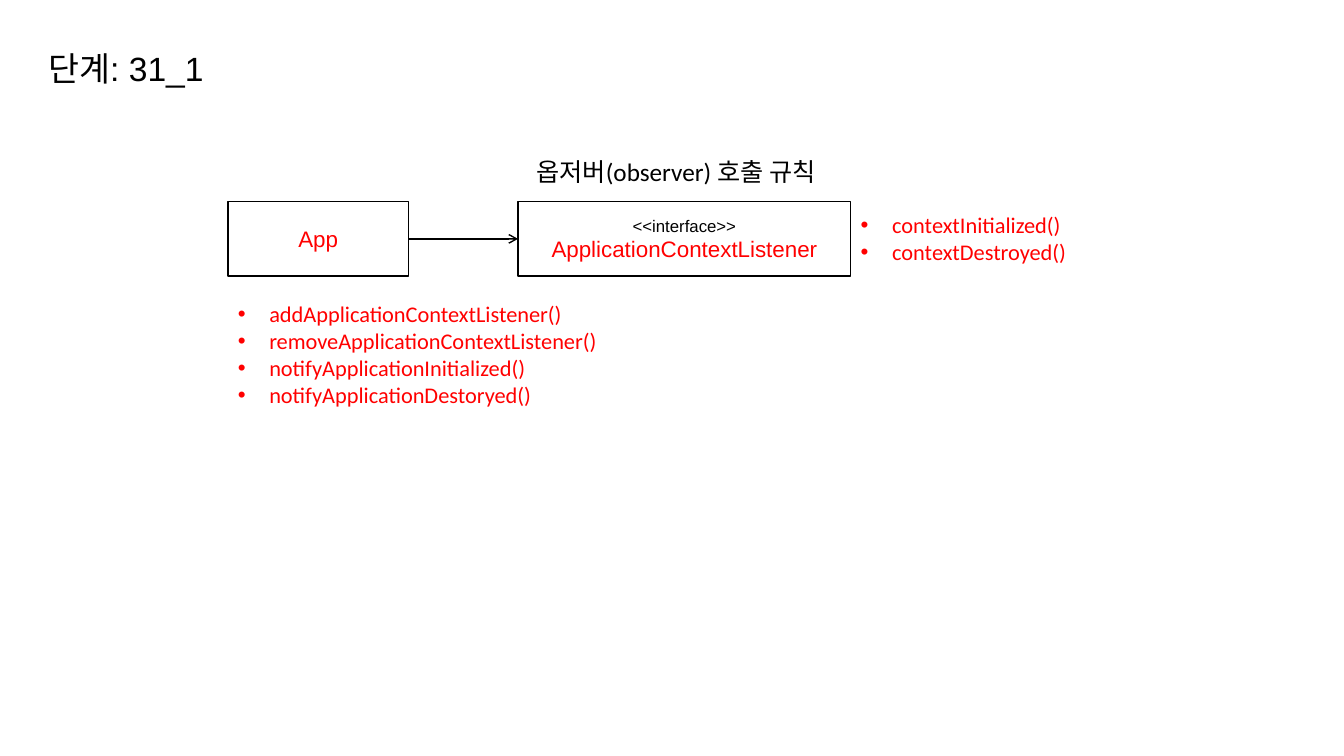
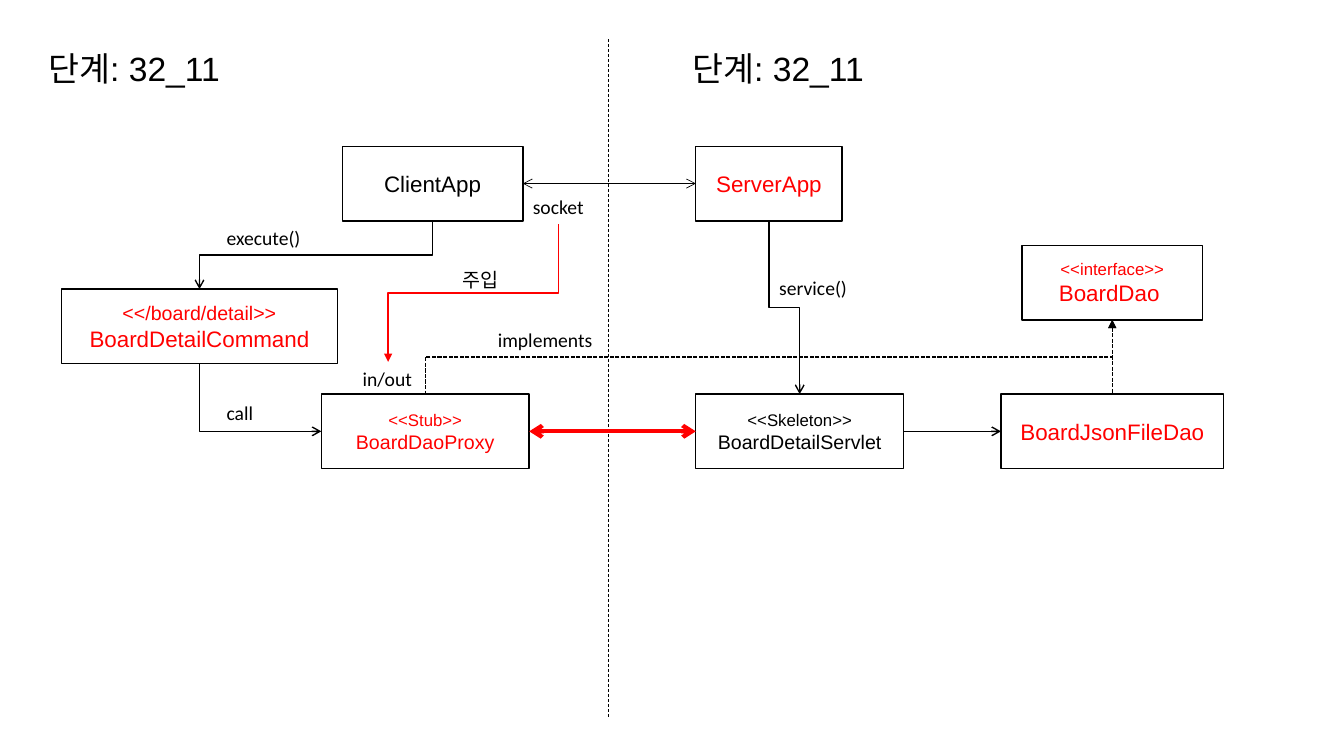
from lxml.etree import SubElement as Sub
from pptx import Presentation
from pptx.dml.color import RGBColor as Rgb
from pptx.enum.dml import MSO_LINE as Dash
from pptx.enum.shapes import MSO_CONNECTOR as Conn, MSO_SHAPE as Shape
from pptx.enum.text import MSO_ANCHOR as Anchor, MSO_AUTO_SIZE as Fit, PP_ALIGN as Align
from pptx.oxml.ns import qn
from pptx.util import Pt

INK = {"black": "000000", "red": "FF0000", "white": "FFFFFF"}
TOP, LEFT, BOTTOM, RIGHT = range(4)
BOX_H = 53.25
TITLE_Y = 31
BULLET = 22.5

# Text styles: font, size
TITLE = {"name": "Arial", "size": 24}
HEAD = {"name": "Calibri", "size": 18}
LIST = {"name": "Calibri", "size": 16}
NOTE = {"name": "Calibri", "size": 14}

# Line styles
THIN = {"width": 0.5, "head": "arrow", "tail": "arrow"}
FLOW = {"width": 1, "tail": "arrow"}
REAL = {"width": 1, "head": "triangle", "dash": Dash.SQUARE_DOT}
INJECT = {"width": 1, "color": "red", "tail": "triangle"}
WIRE = {"width": 3, "color": "red", "head": "arrow", "tail": "arrow"}
SPLIT = {"width": 0.5, "dash": Dash.DASH}

# titles: text, x, width
# boxes: key -> x, y, width, lines of (text, size, colour), fill
# notes: text, x, y, width, height, style
# lists: items, x, y, width, height, wrap
# links: from, side, to, side, style
SLIDES = [
    {
        "titles": [("단계: 31_1", 27.5, 135.5)],
        "boxes": {
            "app": (162.75, 144, 129, [("App", 16, "red")], None),
            "listen": (370, 144, 237.75, [("<<interface>>", 12, "black"),
                       ("ApplicationContextListener", 16, "red")], None),
        },
        "notes": [("옵저버(observer) 호출 규칙", 376, 108, 226, 29, HEAD)],
        "lists": [
            (["contextInitialized()", "contextDestroyed()"],
             607.75, 147.5, 163.5, 46, False),
            (["addApplicationContextListener()",
              "removeApplicationContextListener()",
              "notifyApplicationInitialized()",
              "notifyApplicationDestoryed()"], 162.75, 211, 281.5, 85, True),
        ],
        "links": [("app", RIGHT, "listen", LEFT, FLOW)],
        "split": None,
    },
    {
        "titles": [("단계: 32_11", 27.5, 147.5), ("단계: 32_11", 487.5, 147.5)],
        "boxes": {
            "client": (244.5, 104.5, 129, [("ClientApp", 16, "black")], None),
            "server": (497, 104.5, 104.5, [("ServerApp", 16, "red")], None),
            "skel": (497, 281.5, 148.5, [("<<Skeleton>>", 12, "black"),
                     ("BoardDetailServlet", 14, "black")], None),
            "stub": (229.5, 281.5, 148.5, [("<<Stub>>", 12, "red"),
                     ("BoardDaoProxy", 14, "red")], None),
            "json": (715, 281.5, 159, [("BoardJsonFileDao", 16, "red")], None),
            "dao": (730, 175.25, 129, [("<<interface>>", 12, "red"),
                    ("BoardDao ", 16, "red")], None),
            "detail": (43.75, 206.5, 197.5, [("<</board/detail>>", 14, "red"),
                       ("BoardDetailCommand", 16, "red")], "white"),
        },
        "notes": [
            ("socket", 373.5, 136, 51, 24.25, NOTE),
            ("in/out", 252, 258.5, 50.5, 24.25, NOTE),
            ("implements", 348.5, 230.5, 83, 24.25, NOTE),
            ("주입", 323.25, 188, 42.5, 24.25, NOTE),
            ("execute()", 154.75, 157.75, 67.5, 24.25, NOTE),
            ("call", 154.75, 282.5, 34, 24.25, NOTE),
            ("service()", 549.5, 193.5, 63.5, 24.25, NOTE),
        ],
        "lists": [],
        "links": [
            ("client", RIGHT, "server", LEFT, THIN),
            ("dao", BOTTOM, "json", TOP, REAL),
            ("dao", BOTTOM, "stub", TOP, REAL),
            ("skel", RIGHT, "json", LEFT, FLOW),
            ("stub", RIGHT, "skel", LEFT, WIRE),
            ("client", BOTTOM, "detail", TOP, FLOW),
            ("detail", BOTTOM, "stub", LEFT, FLOW),
            ("socket", BOTTOM, "in/out", TOP, INJECT),
            ("server", BOTTOM, "skel", TOP, FLOW),
        ],
        "split": (434.25, 28, 512),
    },
]


def ink(name):
    return Rgb.from_string(INK[name])


def write(par, text, color="black", **style):
    run = par.add_run()
    run.text = text
    run.font.color.rgb = ink(color)
    for key, val in style.items():
        setattr(run.font, key, Pt(val) if key == "size" else val)


def add_text(slide, lines, spot, style, color="black", wrap=False, bullet=False):
    shape = slide.shapes.add_textbox(*map(Pt, spot))
    frame = shape.text_frame
    frame.word_wrap = wrap
    frame.auto_size = Fit.SHAPE_TO_FIT_TEXT
    for num, line in enumerate(lines):
        par = frame.add_paragraph() if num else frame.paragraphs[0]
        if bullet:
            props = par._p.get_or_add_pPr()
            props.set("marL", str(Pt(BULLET)))
            props.set("indent", str(-Pt(BULLET)))
            Sub(props, qn("a:buFont"), typeface="Arial")
            Sub(props, qn("a:buChar"), char="•")
        write(par, line, color, **style)
    return shape


def add_box(slide, x, y, width, lines, fill):
    box = slide.shapes.add_shape(Shape.RECTANGLE, *map(Pt, (x, y, width, BOX_H)))
    box.shadow.inherit = False
    if fill:
        box.fill.solid()
        box.fill.fore_color.rgb = ink(fill)
    else:
        box.fill.background()
    box.line.color.rgb = ink("black")
    box.line.width = Pt(1)
    frame = box.text_frame
    frame.word_wrap = True
    frame.vertical_anchor = Anchor.MIDDLE
    for num, (text, size, color) in enumerate(lines):
        par = frame.add_paragraph() if num else frame.paragraphs[0]
        par.alignment = Align.CENTER
        write(par, text, color, name="Arial", size=size)
    return box


def dress(line, width, color="black", dash=None, head=None, tail=None):
    line.line.color.rgb = ink(color)
    line.line.width = Pt(width)
    if dash:
        line.line.dash_style = dash
    edge = line.line._get_or_add_ln()
    for tag, kind in (("a:headEnd", head), ("a:tailEnd", tail)):
        if kind:
            Sub(edge, qn(tag), type=kind)
    Sub(line._element.spPr, qn("a:effectLst"))


def middle(shape, side):
    """Middle of one side of a shape."""
    x = shape.left + shape.width * {LEFT: 0, RIGHT: 2}.get(side, 1) // 2
    y = shape.top + shape.height * {TOP: 0, BOTTOM: 2}.get(side, 1) // 2
    return x, y


def turn(line, x1, y1, x2, y2, corner):
    """Make an elbow leave its start downwards."""
    wide, high = abs(x2 - x1), abs(y2 - y1)
    line.left = (x1 + x2 - high) // 2
    line.top = (y1 + y2 - wide) // 2
    line.width, line.height = high, wide
    frame = line._element.spPr.find(qn("a:xfrm"))
    right = x2 > x1
    frame.set("rot", str((270 if right else 90) * 60000))
    frame.set("flipH", "1" if right else "0")
    frame.set("flipV", "0")
    if corner:
        line._element.spPr.find(qn("a:prstGeom")).set("prst", "bentConnector2")


def link(slide, start, out, end, into, style):
    x1, y1 = middle(start, out)
    x2, y2 = middle(end, into)
    bent = x1 != x2 and y1 != y2
    kind = Conn.ELBOW if bent else Conn.STRAIGHT
    line = slide.shapes.add_connector(kind, x1, y1, x2, y2)
    line.begin_connect(start, out)
    line.end_connect(end, into)
    if bent:
        turn(line, x1, y1, x2, y2, into == LEFT)
    dress(line, **style)


def build(slide, data):
    for text, x, width in data["titles"]:
        add_text(slide, [text], (x, TITLE_Y, width, 36.25), TITLE)
    parts = {key: add_box(slide, *box) for key, box in data["boxes"].items()}
    for text, *spot, style in data["notes"]:
        parts[text] = add_text(slide, [text], spot, style)
    for items, *spot, wrap in data["lists"]:
        add_text(slide, items, spot, LIST, "red", wrap, True)
    if data["split"]:
        x, top, end = map(Pt, data["split"])
        dress(slide.shapes.add_connector(Conn.STRAIGHT, x, top, x, end), **SPLIT)
    for start, out, end, into, style in data["links"]:
        link(slide, parts[start], out, parts[end], into, style)


def main():
    deck = Presentation()
    deck.slide_width, deck.slide_height = Pt(960), Pt(540)
    for data in SLIDES:
        build(deck.slides.add_slide(deck.slide_layouts[6]), data)
    deck.save("out.pptx")


if __name__ == "__main__":
    main()
